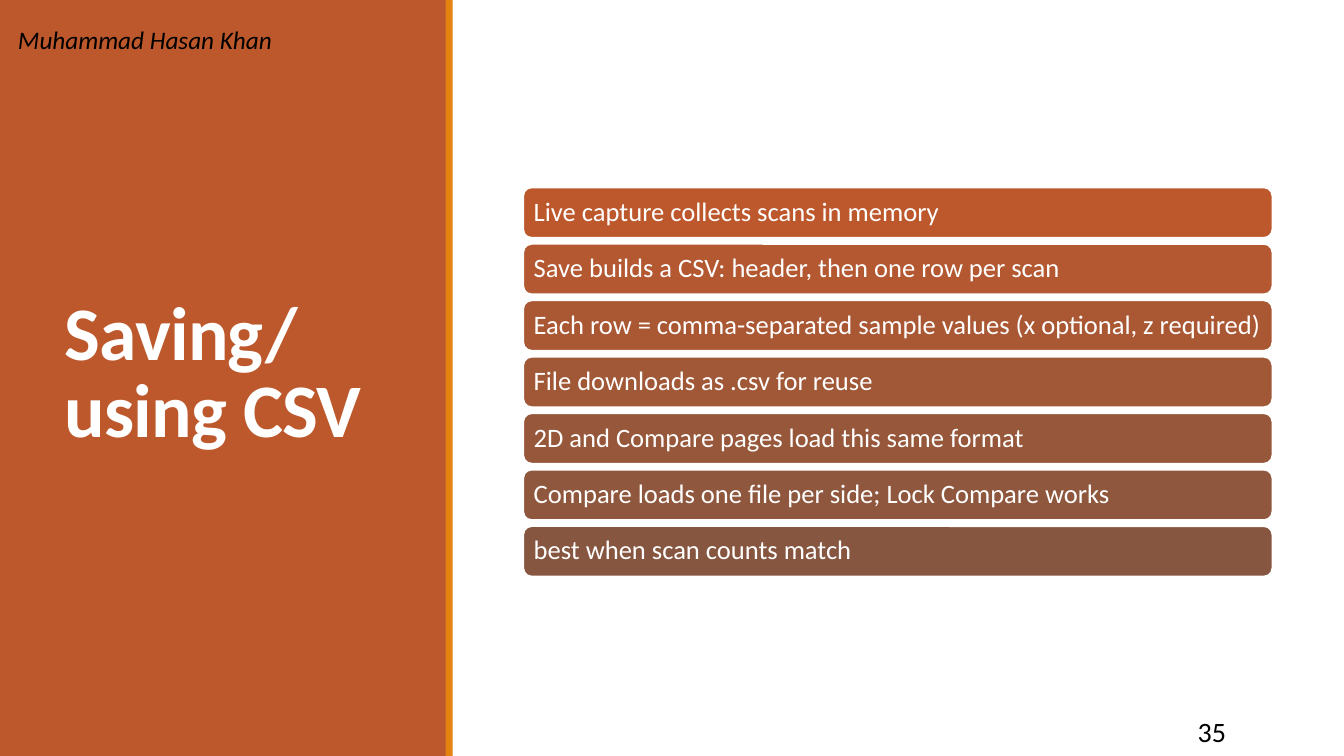
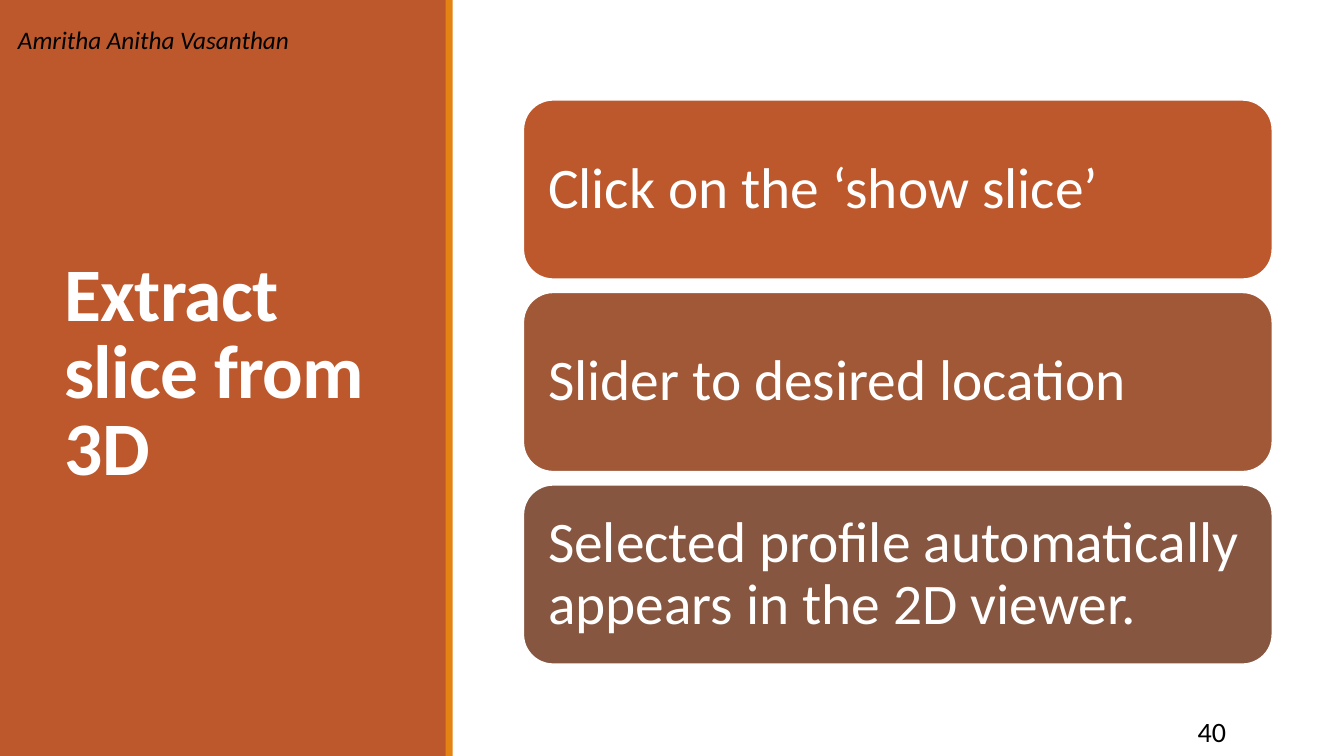
from pptx import Presentation
from pptx.dml.color import RGBColor
from pptx.enum.shapes import MSO_SHAPE as SHAPE
from pptx.enum.text import MSO_ANCHOR as ANCHOR, MSO_AUTO_SIZE as AUTO, PP_ALIGN as ALIGN
from pptx.util import Inches, Pt

RUST = RGBColor(0xBD, 0x58, 0x2C)
ORANGE = RGBColor(0xE4, 0x83, 0x12)
WHITE = RGBColor(0xFF, 0xFF, 0xFF)
BLACK = RGBColor(0x00, 0x00, 0x00)
# Bar colours from rust to brown
SHADES = [RUST] + [RGBColor.from_string(c) for c in
                   ("B35830", "AA5834", "A05837", "97573A", "8F573D", "865640")]

FONT = "Calibri"
TITLE = {"name": FONT, "size": Pt(54), "bold": True, "color": WHITE}
AUTHOR = {"name": FONT, "size": Pt(18), "italic": True, "color": BLACK}
NUMBER = {"name": FONT, "size": Pt(20), "color": BLACK}
BARS_MIDDLE = 3.79

SLIDES = [
    {"title": "Saving/\vusing CSV", "author": "Muhammad Hasan Khan", "number": "35",
     "height": 0.5, "gap": 0.06, "inset": 0.08, "size": 19, "shades": SHADES,
     "bars": ["Live capture collects scans in memory",
              "Save builds a CSV: header, then one row per scan",
              "Each row = comma-separated sample values (x optional, z required)",
              "File downloads as .csv for reuse",
              "2D and Compare pages load this same format",
              "Compare loads one file per side; Lock Compare works",
              "best when scan counts match"]},
    {"title": "Extract slice from 3D", "author": "Amritha Anitha Vasanthan", "number": "40",
     "height": 1.78, "gap": 0.13, "inset": 0.16, "size": 41, "shades": SHADES[::3],
     "bars": ["Click on the ‘show slice’",
              "Slider to desired location",
              "Selected profile automatically appears in the 2D viewer."]},
]


def add_box(s, kind, left, top, width, height, fill):
    sp = s.shapes.add_shape(kind, Inches(left), Inches(top), Inches(width), Inches(height))
    sp.shadow.inherit = False
    sp.fill.solid()
    sp.fill.fore_color.rgb = fill
    sp.line.fill.background()
    return sp


def set_text(sp, text, style, align=ALIGN.LEFT, anchor=ANCHOR.MIDDLE, spacing=1.0):
    tf = sp.text_frame
    tf.word_wrap = True
    tf.auto_size = AUTO.NONE
    tf.vertical_anchor = anchor
    p = tf.paragraphs[0]
    p.text = text
    p.alignment = align
    p.line_spacing = spacing
    for r in p.runs:
        for name, value in style.items():
            if name == "color":
                r.font.color.rgb = value
            else:
                setattr(r.font, name, value)


prs = Presentation()
prs.slide_width, prs.slide_height = Inches(13.33), Inches(7.5)
layout = prs.slide_layouts[5]

for i, data in enumerate(SLIDES):
    s = prs.slides.add_slide(layout)

    # Side panel and stripe, drawn once and moved behind everything on the layout
    if i == 0:
        for n, (left, width, fill) in enumerate([(0, 4.43, RUST), (4.42, 0.07, ORANGE)]):
            sp = add_box(s, SHAPE.RECTANGLE, left, 0, width, 7.5, fill)
            layout.shapes._spTree.insert(2 + n, sp._element)

    # Title on the panel
    title = s.shapes.title
    title.left, title.top = Inches(0.54), Inches(0.57)
    title.width, title.height = Inches(3.37), Inches(6.31)
    set_text(title, data["title"], TITLE, spacing=0.85)
    for r in title.text_frame.paragraphs[0].runs:
        r.font._element.set("spc", "-50")

    # Stack of bars, centred vertically
    pitch = data["height"] + data["gap"]
    top = BARS_MIDDLE - (len(data["bars"]) * pitch - data["gap"]) / 2
    style = {"name": FONT, "size": Pt(data["size"]), "color": WHITE}
    for n, (text, shade) in enumerate(zip(data["bars"], data["shades"])):
        sp = add_box(s, SHAPE.ROUNDED_RECTANGLE, 5.19, top + n * pitch,
                     7.43, data["height"], shade)
        sp.line.color.rgb = WHITE
        sp.line.width = Pt(1.25)
        sp.text_frame.margin_left = sp.text_frame.margin_right = Inches(data["inset"])
        set_text(sp, text, style, spacing=0.9)

    # Slide number and author
    sp = s.shapes.add_textbox(Inches(10.83), Inches(7.06), Inches(1.43), Inches(0.4))
    set_text(sp, data["number"], NUMBER, align=ALIGN.RIGHT)
    sp = s.shapes.add_textbox(Inches(0.08), Inches(0.19), Inches(6.92), Inches(0.4))
    set_text(sp, data["author"], AUTHOR, anchor=ANCHOR.TOP)

prs.save("out.pptx")
